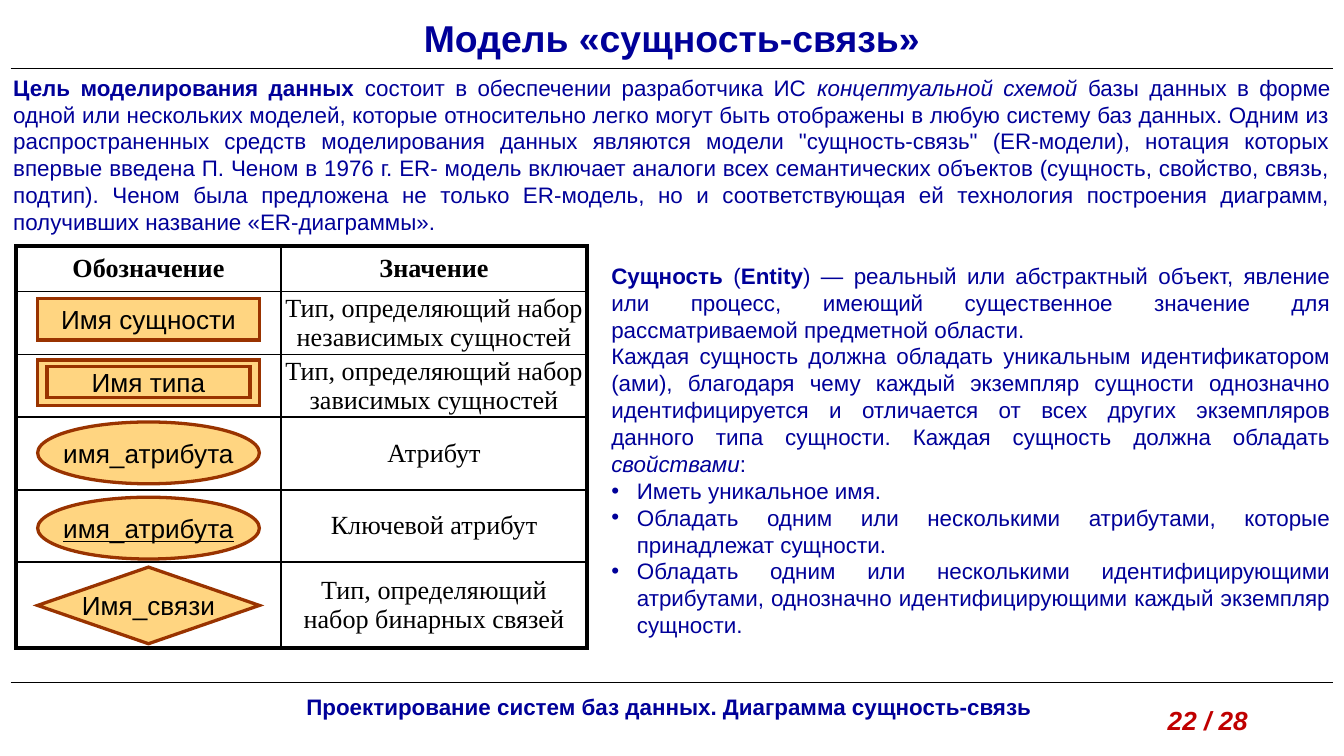
from lxml.etree import SubElement
from pptx import Presentation
from pptx.dml.color import RGBColor
from pptx.enum.shapes import MSO_CONNECTOR, MSO_SHAPE
from pptx.enum.text import MSO_ANCHOR, PP_ALIGN
from pptx.oxml.ns import qn
from pptx.util import Inches, Pt

NAVY, RED, BLACK, SAND, BROWN = "000099", "C00000", "000000", "FFD581", "993300"
CENTER, JUSTIFY, LEFT = PP_ALIGN.CENTER, PP_ALIGN.JUSTIFY, PP_ALIGN.LEFT

presentation = Presentation()
presentation.slide_width = Inches(10)
presentation.slide_height = Inches(10 * 9 / 16)
slide = presentation.slides.add_slide(presentation.slide_layouts[6])
column = presentation.slide_width / 100
row = presentation.slide_height / 56.25


def grid(left, top, width, height):
    return round(left * column), round(top * row), round(width * column), round(height * row)


def write(paragraph, runs, size, color, alignment, font="Arial", bold=None, italic=None):
    paragraph.alignment = alignment
    paragraph.font.name = font
    paragraph.font.size = Pt(size)
    paragraph.font.color.rgb = RGBColor.from_string(color)
    paragraph.font.bold = bold
    paragraph.font.italic = italic
    for text, style in runs:
        run = paragraph.add_run()
        run.text = text
        if "b" in style:
            run.font.bold = True
        if "i" in style:
            run.font.italic = True
        if "u" in style:
            run.font.underline = True


for line_top in (5.1, 50.8):
    start_x, start_y, length, _ = grid(0.8, line_top, 98.4, 0)
    connector = slide.shapes.add_connector(
        MSO_CONNECTOR.STRAIGHT, start_x, start_y, start_x + length, start_y)
    connector.line.color.rgb = RGBColor.from_string(BLACK)
    connector.line.width = Pt(0.75)
    SubElement(connector.element.spPr, qn("a:effectLst"))

labels = [
    ((0, 0.6, 100, 4.5), "Модель «сущность-связь»", 20, NAVY, CENTER, None),
    ((12.5, 51.1, 74.6, 3), "Проектирование систем баз данных. Диаграмма сущность-связь",
     12, NAVY, CENTER, None),
    ((85.9, 51.9, 10.2, 3.4), "22 / 28", 14, RED, LEFT, True),
]
for area, text, size, color, alignment, italic in labels:
    frame = slide.shapes.add_textbox(*grid(*area)).text_frame
    frame.word_wrap = True
    write(frame.paragraphs[0], [(text, "")], size, color, alignment, bold=True, italic=italic)

purpose = [
    ("Цель моделирования данных ", "b"),
    ("состоит в обеспечении разработчика ИС ", ""),
    ("концептуальной схемой ", "i"),
    ("базы данных в форме одной или нескольких моделей, которые относительно легко могут быть "
     "отображены в любую систему баз данных. Одним из распространенных средств моделирования "
     "данных являются модели \"сущность-связь\" (ER-модели), нотация которых впервые введена "
     "П. Ченом в 1976 г. ER- модель включает аналоги всех семантических объектов (сущность, "
     "свойство, связь, подтип). Ченом была предложена не только ER-модель, но и соответствующая "
     "ей технология построения диаграмм, получивших название «ER-диаграммы».", ""),
]
entity = [
    ("Сущность", "b"), (" (", ""), ("Entity", "b"),
    (") — реальный или абстрактный объект, явление или процесс, имеющий существенное значение "
     "для рассматриваемой предметной области.", ""),
]
identifier = [
    ("Каждая сущность должна обладать уникальным идентификатором (ами), благодаря чему каждый "
     "экземпляр сущности однозначно идентифицируется и отличается от всех других экземпляров "
     "данного типа сущности. Каждая сущность должна обладать ", ""),
    ("свойствами", "i"), (":", ""),
]
properties = [
    "Иметь уникальное имя.",
    "Обладать одним или несколькими атрибутами, которые принадлежат сущности.",
    "Обладать одним или несколькими идентифицирующими атрибутами, однозначно "
    "идентифицирующими каждый экземпляр сущности.",
]
bodies = [
    ((0, 5, 100, 13.1), [purpose], []),
    ((44.5, 19, 55.5, 29.3), [entity, identifier], properties),
]
for area, plain, bulleted in bodies:
    frame = slide.shapes.add_textbox(*grid(*area)).text_frame
    frame.word_wrap = True
    for index, runs in enumerate(plain + [[(text, "")] for text in bulleted]):
        paragraph = frame.add_paragraph() if index else frame.paragraphs[0]
        if index >= len(plain):
            settings = paragraph._p.get_or_add_pPr()
            settings.set("marL", str(Inches(0.19)))
            settings.set("indent", str(-Inches(0.19)))
            SubElement(settings, qn("a:buFont"), typeface="Arial")
            SubElement(settings, qn("a:buChar"), char="•")
        write(paragraph, runs, 12, NAVY, JUSTIFY)

meanings = [
    "Значение",
    "Тип, определяющий набор независимых сущностей",
    "Тип, определяющий набор зависимых сущностей",
    "Атрибут",
    "Ключевой атрибут",
    "Тип, определяющий набор бинарных связей",
]
row_heights = [3.4, 4.65, 4.65, 5.4, 5.4, 6.4]
column_widths = [19.7, 22.8]
last_row = len(meanings) - 1
table = slide.shapes.add_table(
    len(meanings), 2, *grid(1.2, 18.3, sum(column_widths), sum(row_heights))).table
table.first_row = False
table.horz_banding = False
for index, width in enumerate(column_widths):
    table.columns[index].width = round(width * column)
for row_index, meaning in enumerate(meanings):
    table.rows[row_index].height = round(row_heights[row_index] * row)
    header = row_index == 0
    for column_index, text in enumerate(["Обозначение" if header else "", meaning]):
        cell = table.cell(row_index, column_index)
        cell.vertical_anchor = MSO_ANCHOR.MIDDLE
        if row_index in (1, 2):
            cell.margin_left = cell.margin_right = cell.margin_top = cell.margin_bottom = 0
        if text:
            write(cell.text_frame.paragraphs[0], [(text, "")], 14, BLACK, CENTER,
                  "Times New Roman", header)
        outer_edges = {"L": column_index == 0, "R": column_index == 1,
                       "T": header, "B": row_index == last_row}
        for side, outer in outer_edges.items():
            border = SubElement(cell._tc.get_or_add_tcPr(), qn("a:ln" + side),
                                w=str(Pt(2.25 if outer else 1)))
            SubElement(SubElement(border, qn("a:solidFill")), qn("a:srgbClr"), val=BLACK)
        cell.fill.background()

symbols = [
    (MSO_SHAPE.RECTANGLE, (2.8, 22.2, 16.5, 3.1), "Имя сущности", ""),
    (MSO_SHAPE.RECTANGLE, (2.8, 26.8, 16.5, 3.4), "", ""),
    (MSO_SHAPE.RECTANGLE, (3.5, 27.3, 15.1, 2.3), "Имя типа", ""),
    (MSO_SHAPE.OVAL, (2.8, 31.4, 16.5, 4.6), "имя_атрибута", ""),
    (MSO_SHAPE.DIAMOND, (2.8, 42.2, 16.5, 5.7), "Имя_связи", ""),
    (MSO_SHAPE.OVAL, (2.8, 37, 16.5, 4.6), "имя_атрибута", "u"),
]
for kind, area, text, style in symbols:
    shape = slide.shapes.add_shape(kind, *grid(*area))
    shape.shadow.inherit = False
    shape.fill.solid()
    shape.fill.fore_color.rgb = RGBColor.from_string(SAND)
    shape.line.color.rgb = RGBColor.from_string(BROWN)
    shape.line.width = Pt(1.75)
    SubElement(shape.element.spPr.find(qn("a:ln")), qn("a:miter"), lim="800000")
    if text:
        shape.text_frame.word_wrap = False
        shape.text_frame.vertical_anchor = MSO_ANCHOR.MIDDLE
        write(shape.text_frame.paragraphs[0], [(text, style)], 14, BLACK, CENTER)

presentation.save("out.pptx")
